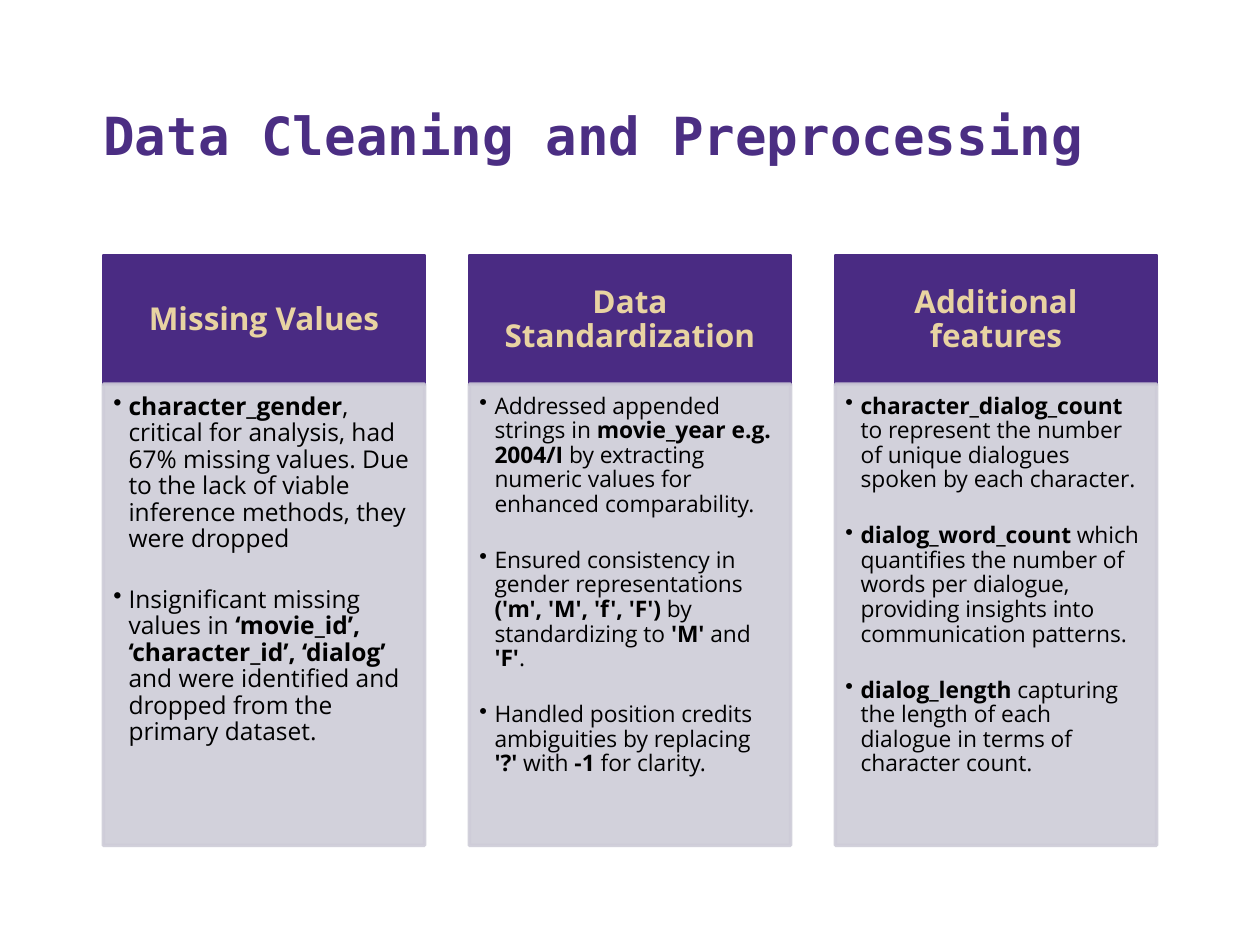
from lxml import etree
from pptx import Presentation
from pptx.dml.color import RGBColor
from pptx.enum.shapes import MSO_SHAPE
from pptx.enum.text import MSO_ANCHOR, MSO_AUTO_SIZE, PP_ALIGN
from pptx.oxml.ns import qn
from pptx.util import Inches, Pt

RECT = MSO_SHAPE.RECTANGLE
TOP, MIDDLE, BOTTOM = MSO_ANCHOR.TOP, MSO_ANCHOR.MIDDLE, MSO_ANCHOR.BOTTOM
LEFT, CENTER = PP_ALIGN.LEFT, PP_ALIGN.CENTER
NO_AUTOFIT = MSO_AUTO_SIZE.NONE

PURPLE, GOLD, LILAC, BLACK = "4A2B83", "E8D3A2", "CECCD8", "000000"
TITLE_PURPLE = "4B2E83"
SANS, MONO = "Open Sans", "DejaVu Sans Mono"

# Heading, body size, space between bullets, bullets (** marks bold)
COLUMNS = [
    ("Missing Values", 14, 19.3, [
        "**character_gender**, critical for analysis, had 67% missing values. "
        "Due to the lack of viable inference methods, they were dropped",
        "Insignificant missing values in **‘movie_id’, ‘character_id’, ‘dialog’ **"
        "and were identified and dropped from the primary dataset.",
    ]),
    ("Data Standardization", 13, 17.9, [
        "Addressed appended strings in **movie_year e.g. 2004/I **"
        "by extracting numeric values for enhanced comparability.",
        "Ensured consistency in gender representations **('m', 'M', 'f', 'F')** "
        "by standardizing to **'M'** and **'F'**.",
        "Handled position credits ambiguities by replacing **'?'** with **-1** for clarity.",
    ]),
    ("Additional features", 13, 17.9, [
        "**character_dialog_count **to represent the number of unique dialogues "
        "spoken by each character.",
        "**dialog_word_count **which quantifies the number of words per dialogue, "
        "providing insights into communication patterns.",
        "**dialog_length **capturing the length of each dialogue in terms of "
        "character count.",
    ]),
]


def rgb(color):
    return RGBColor.from_string(color)


def add_bullet(p):
    pPr = p._p.get_or_add_pPr()
    pPr.set("marL", str(Inches(0.12)))
    pPr.set("indent", str(-Inches(0.12)))
    etree.SubElement(pPr, qn("a:buChar"), char="•")


def write(s, paragraphs, size, color, font=SANS, align=LEFT, anchor=TOP,
          insets=(0.1, 0.05, 0.1, 0.05), line=None, gap=0, bullets=False):
    """Fill the shape with paragraphs; text between ** marks is bold."""
    tf = s.text_frame
    tf.word_wrap = True
    tf.auto_size = NO_AUTOFIT
    tf.vertical_anchor = anchor
    tf.margin_left, tf.margin_top, tf.margin_right, tf.margin_bottom = map(Inches, insets)
    for i, text in enumerate(paragraphs):
        p = tf.add_paragraph() if i else tf.paragraphs[0]
        p.alignment = align
        p.line_spacing = line
        p.space_before = Pt(gap if i else 0)
        if bullets:
            add_bullet(p)
        for j, part in enumerate(text.split("**")):
            if part:
                r = p.add_run()
                r.text = part
                r.font.name, r.font.size = font, Pt(size)
                r.font.bold = j % 2 == 1
                r.font.color.rgb = rgb(color)


def add_panel(slide, x, y, w, h, color, alpha=None):
    s = slide.shapes.add_shape(RECT, Inches(x), Inches(y), Inches(w), Inches(h))
    s.shadow.inherit = False
    s.fill.solid()
    s.fill.fore_color.rgb = rgb(color)
    s.line.color.rgb = rgb(color)
    s.line.width = Pt(2)
    if alpha:
        for clr in s._element.spPr.iter(qn("a:srgbClr")):
            etree.SubElement(clr, qn("a:alpha"), val=str(alpha * 1000))
    return s


def add_title(slide, x, y, w, h):
    s = slide.shapes.title
    s.left, s.top, s.width, s.height = map(Inches, (x, y, w, h))
    write(s, ["**Data Cleaning and Preprocessing**"], 30, TITLE_PURPLE, font=MONO,
          anchor=BOTTOM, insets=(0.1, 0.05, 0.1, 0.02))


def add_column(slide, x, y, w, h, heading, size, gap, bullets):
    head_h = 1.02
    # Heading
    head = add_panel(slide, x, y, w, head_h, PURPLE)
    write(head, [f"**{heading}**"], 18, GOLD, align=CENTER, anchor=MIDDLE,
          insets=(0.14, 0.08, 0.14, 0.08), line=0.9)
    # Body
    body = add_panel(slide, x, y + head_h, w, h - head_h, LILAC, alpha=90)
    write(body, bullets, size, BLACK, insets=(0.08, 0.08, 0.1, 0.11),
          line=0.9, gap=gap, bullets=True)


def add_columns(slide, x, y, w, h):
    col_w = 2.55
    step = (w - col_w) / (len(COLUMNS) - 1)
    for i, column in enumerate(COLUMNS):
        add_column(slide, x + i * step, y, col_w, h, *column)


def main():
    prs = Presentation()
    prs.slide_width, prs.slide_height = Inches(10), Inches(7.5)
    slide = prs.slides.add_slide(prs.slide_layouts[5])
    add_title(slide, 0.72, 0.26, 8.95, 1.08)
    add_columns(slide, 0.82, 2.03, 8.36, 4.68)
    prs.save("out.pptx")


if __name__ == "__main__":
    main()
